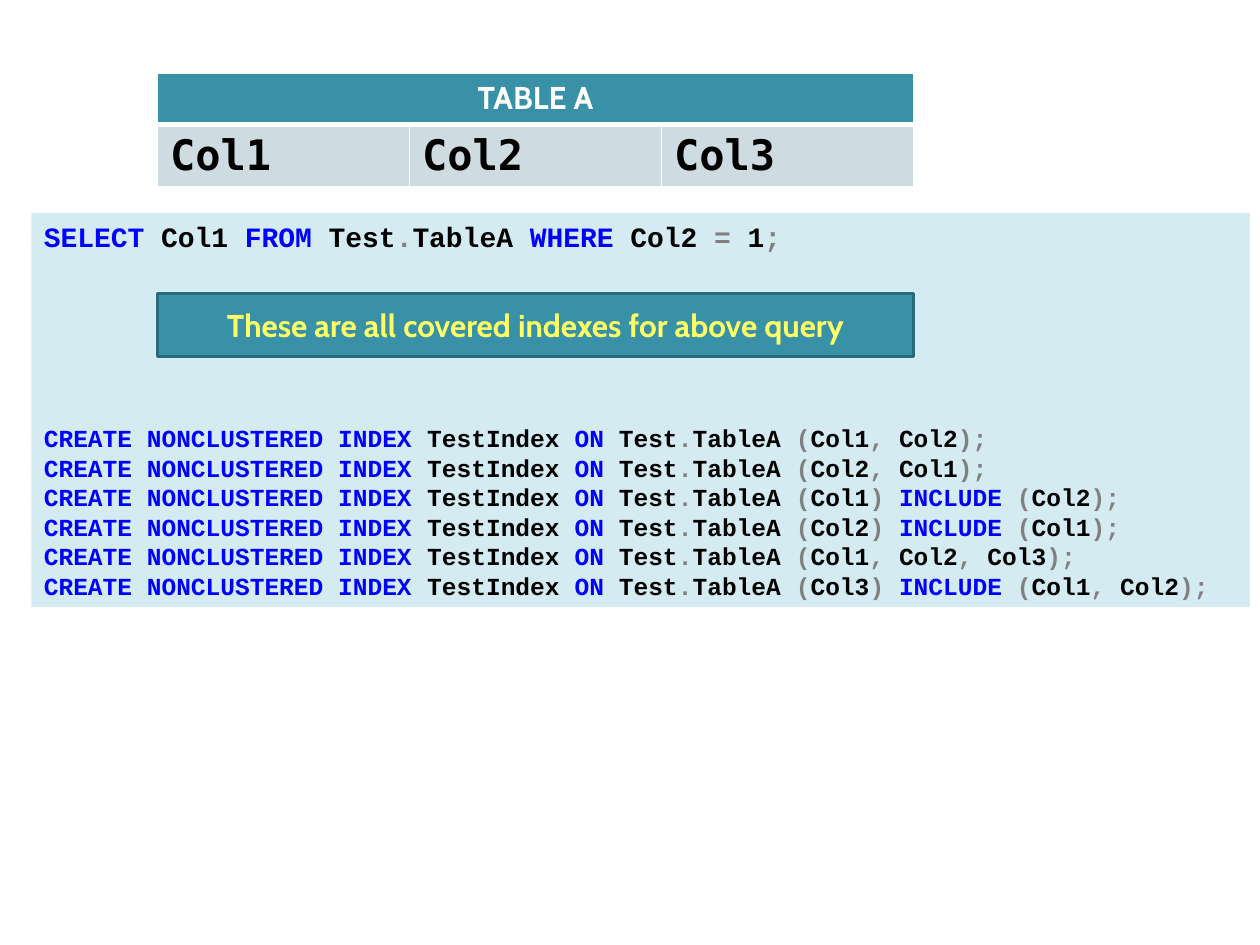
from itertools import groupby

from lxml.etree import SubElement
from pptx import Presentation
from pptx.dml.color import RGBColor
from pptx.enum.shapes import MSO_SHAPE
from pptx.enum.text import MSO_ANCHOR, MSO_AUTO_SIZE, PP_ALIGN
from pptx.oxml.ns import qn
from pptx.util import Inches, Pt

COLORS = {
    "teal": "3891A7", "teal_dark": "296B7C", "cell": "CEDCE1", "panel": "D4EBF1",
    "white": "FFFFFF", "black": "000000", "yellow": "FFFF66",
    "keyword": "0000FF", "symbol": "808080",
}
KEYWORDS = {"SELECT", "FROM", "WHERE", "CREATE", "NONCLUSTERED", "INDEX", "ON", "INCLUDE"}
LINE_HEIGHT = 1.21  # line pitch of the code as a multiple of its text size

QUERY = "SELECT Col1 FROM Test.TableA WHERE Col2 = 1;"
INDEX_KEYS = [
    "(Col1, Col2)",
    "(Col2, Col1)",
    "(Col1) INCLUDE (Col2)",
    "(Col2) INCLUDE (Col1)",
    "(Col1, Col2, Col3)",
    "(Col3) INCLUDE (Col1, Col2)",
]


def rgb(name):
    return RGBColor.from_string(COLORS[name])


def sql_spans(line):
    """Split a line of SQL into (text, colour name) spans."""
    spans = []
    for kind, chars in groupby(line, lambda c: "word" if c.isalnum() else "space" if c == " " else "symbol"):
        token = "".join(chars)
        if kind == "space":
            color = spans[-1][1]
        elif kind == "symbol":
            color = "symbol"
        else:
            color = "keyword" if token in KEYWORDS else "black"
        spans.append((token, color))
    return [("".join(text for text, _ in group), color)
            for color, group in groupby(spans, lambda span: span[1])]


class SlideBuilder:
    heading_font = "Cabin"
    column_font = "DejaVu Sans Mono"
    code_font = "Courier New"

    def __init__(self, page):
        self.page = page

    def add_span(self, para, text, font, size, color):
        span = para.add_run()
        span.text = text
        span.font.name = font
        span.font.size = Pt(size)
        span.font.bold = True
        span.font.color.rgb = rgb(color)

    def add_box(self, left, top, width, height, fill, line=None):
        box = self.page.shapes.add_shape(
            MSO_SHAPE.RECTANGLE, Inches(left), Inches(top), Inches(width), Inches(height))
        box.shadow.inherit = False
        box.fill.solid()
        box.fill.fore_color.rgb = rgb(fill)
        if line:
            box.line.color.rgb = rgb(line)
            box.line.width = Pt(2)
        else:
            box.line.fill.background()
        box.text_frame.word_wrap = True
        return box

    def add_callout(self, left, top, width, height, text):
        box = self.add_box(left, top, width, height, "teal", "teal_dark")
        box.text_frame.vertical_anchor = MSO_ANCHOR.MIDDLE
        para = box.text_frame.paragraphs[0]
        para.alignment = PP_ALIGN.CENTER
        self.add_span(para, text, self.heading_font, 18, "yellow")

    def add_code(self, left, top, width, height, lines):
        """Lines are (text, size, space before in points)."""
        frame = self.add_box(left, top, width, height, "panel").text_frame
        frame.vertical_anchor = MSO_ANCHOR.TOP
        frame.auto_size = MSO_AUTO_SIZE.SHAPE_TO_FIT_TEXT
        for number, (line, size, gap) in enumerate(lines):
            para = frame.add_paragraph() if number else frame.paragraphs[0]
            para.alignment = PP_ALIGN.LEFT
            para.line_spacing = Pt(size * LINE_HEIGHT)
            if gap:
                para.space_before = Pt(gap)
            for text, color in sql_spans(line):
                self.add_span(para, text, self.code_font, size, color)

    def style_cell(self, cell, fill, bottom_width=1):
        # Borders come before the fill in the cell properties
        properties = cell._tc.get_or_add_tcPr()
        for side in ("L", "R", "T", "B"):
            width = bottom_width if side == "B" else 1
            border = SubElement(properties, qn(f"a:ln{side}"), w=str(Pt(width)))
            paint = SubElement(border, qn("a:solidFill"))
            SubElement(paint, qn("a:srgbClr"), val=COLORS["white"])
        cell.fill.solid()
        cell.fill.fore_color.rgb = rgb(fill)

    def add_column_table(self, left, top, width, row_heights, title, columns):
        table = self.page.shapes.add_table(
            2, len(columns), Inches(left), Inches(top),
            Inches(width), Inches(sum(row_heights))).table
        table.horz_banding = False
        for row, height in zip(table.rows, row_heights):
            row.height = Inches(height)
        for index, name in enumerate(columns):
            self.style_cell(table.cell(0, index), "teal", 3)
            cell = table.cell(1, index)
            self.style_cell(cell, "cell")
            self.add_span(cell.text_frame.paragraphs[0], name, self.column_font, 24, "black")
        header = table.cell(0, 0)
        header.merge(table.cell(0, len(columns) - 1))
        para = header.text_frame.paragraphs[0]
        para.alignment = PP_ALIGN.CENTER
        self.add_span(para, title, self.heading_font, 18, "white")


def main():
    deck = Presentation()
    deck.slide_width, deck.slide_height = Inches(10), Inches(7.5)
    builder = SlideBuilder(deck.slides.add_slide(deck.slide_layouts[6]))

    # Table layout
    builder.add_column_table(1.25, 0.58, 6, (0.41, 0.49), "TABLE A", ["Col1", "Col2", "Col3"])

    # Query, then the indexes that cover it
    lines = [(QUERY, 16, 0)]
    for number, keys in enumerate(INDEX_KEYS):
        statement = f"CREATE NONCLUSTERED INDEX TestIndex ON Test.TableA {keys};"
        lines.append((statement, 14, 0 if number else 97))
    builder.add_code(0.25, 1.69, 9.67, 3.13, lines)

    # Callout over the gap in the code
    builder.add_callout(1.25, 2.33, 6, 0.5, "These are all covered indexes for above query")

    deck.save("out.pptx")


if __name__ == "__main__":
    main()
